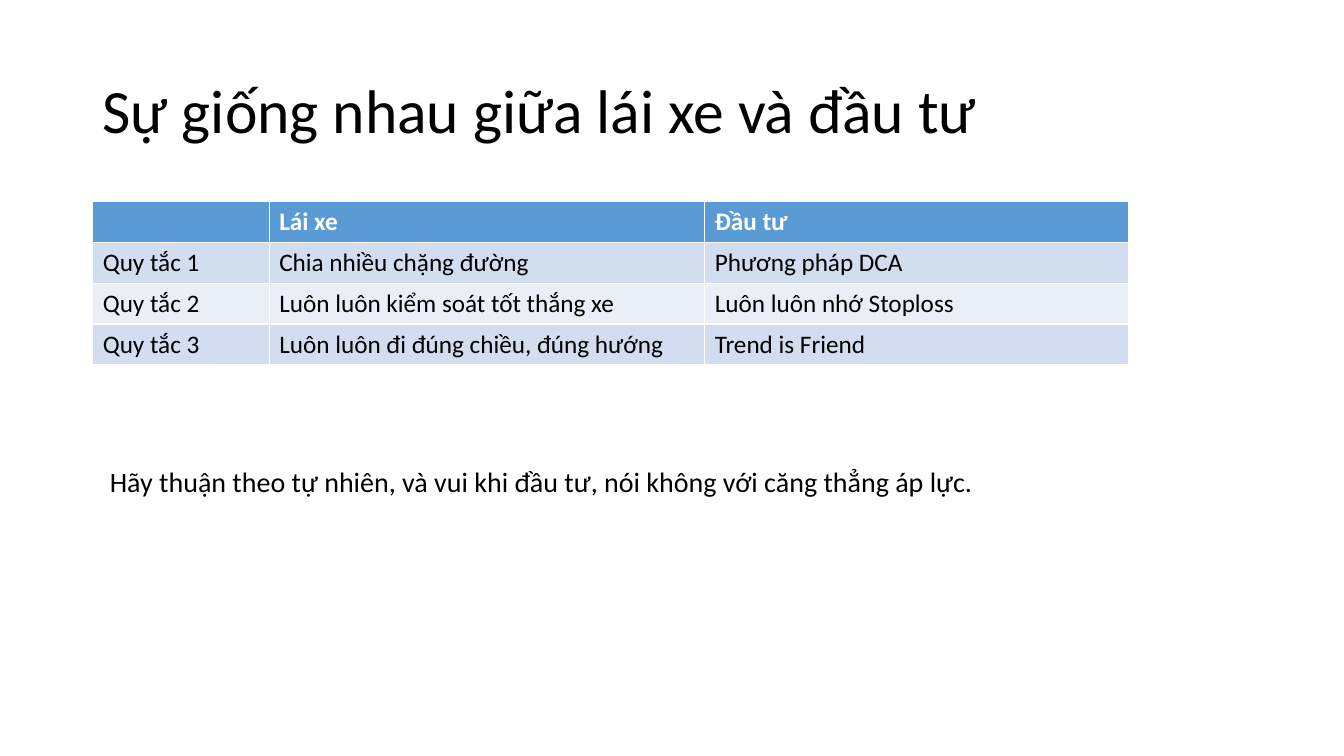
import pptx
import pptx.dml.color
import pptx.enum.text
import pptx.util

Inches = pptx.util.Inches
ANCHOR = pptx.enum.text.MSO_ANCHOR
AUTO_SIZE = pptx.enum.text.MSO_AUTO_SIZE

BLACK, WHITE = "000000", "FFFFFF"
HEADER_FILL = "5B9BD5"
BAND_FILLS = ["D2DEEF", "EAEFF7"]

COLUMN_WIDTHS = [1.75, 4.32, 4.2]
ROWS = [
    ["", "Lái xe", "Đầu tư"],
    ["Quy tắc 1", "Chia nhiều chặng đường", "Phương pháp DCA"],
    ["Quy tắc 2", "Luôn luôn kiểm soát tốt thắng xe", "Luôn luôn nhớ Stoploss"],
    ["Quy tắc 3", "Luôn luôn đi đúng chiều, đúng hướng", "Trend is Friend"],
]


def rgb(value):
    return pptx.dml.color.RGBColor.from_string(value)


def write(tf, text, size, color=BLACK, bold=False):
    p = tf.paragraphs[0]
    r = p.add_run()
    r.text = text
    font = {"name": "Calibri", "size": pptx.util.Pt(size), "bold": bold}
    for key, value in font.items():
        setattr(r.font, key, value)
    r.font.color.rgb = rgb(color)
    return p


def add_text(s, box, text, size, **frame):
    sp = s.shapes.add_textbox(*map(Inches, box))
    for key, value in frame.items():
        setattr(sp.text_frame, key, value)
    return write(sp.text_frame, text, size)


def add_title(s, box):
    p = add_text(s, box, "Sự giống nhau giữa lái xe và đầu tư", 44,
                 word_wrap=True, vertical_anchor=ANCHOR.MIDDLE)
    p.line_spacing = 0.9


def add_rules_table(s, box):
    # The default table style supplies the white cell borders
    table = s.shapes.add_table(len(ROWS), len(COLUMN_WIDTHS), *map(Inches, box)).table
    for column, width in zip(table.columns, COLUMN_WIDTHS):
        column.width = Inches(width)
    for i, row in enumerate(ROWS):
        header = i == 0
        for j, text in enumerate(row):
            cell = table.cell(i, j)
            cell.fill.solid()
            cell.fill.fore_color.rgb = rgb(HEADER_FILL if header else BAND_FILLS[(i - 1) % 2])
            if text:
                write(cell.text_frame, text, 18, WHITE if header else BLACK, header)


def add_advice(s, box):
    add_text(s, box,
             "Hãy thuận theo tự nhiên, và vui khi đầu tư, nói không với căng thẳng áp lực.",
             20, word_wrap=False, auto_size=AUTO_SIZE.SHAPE_TO_FIT_TEXT)


def main():
    prs = pptx.Presentation()
    prs.slide_width, prs.slide_height = Inches(13.33), Inches(7.5)
    s = prs.slides.add_slide(prs.slide_layouts[6])
    add_title(s, (0.92, 0.4, 11.5, 1.45))
    add_rules_table(s, (0.92, 2, sum(COLUMN_WIDTHS), 1.62))
    add_advice(s, (0.99, 4.56, 8.99, 0.44))
    prs.save("out.pptx")


if __name__ == "__main__":
    main()
